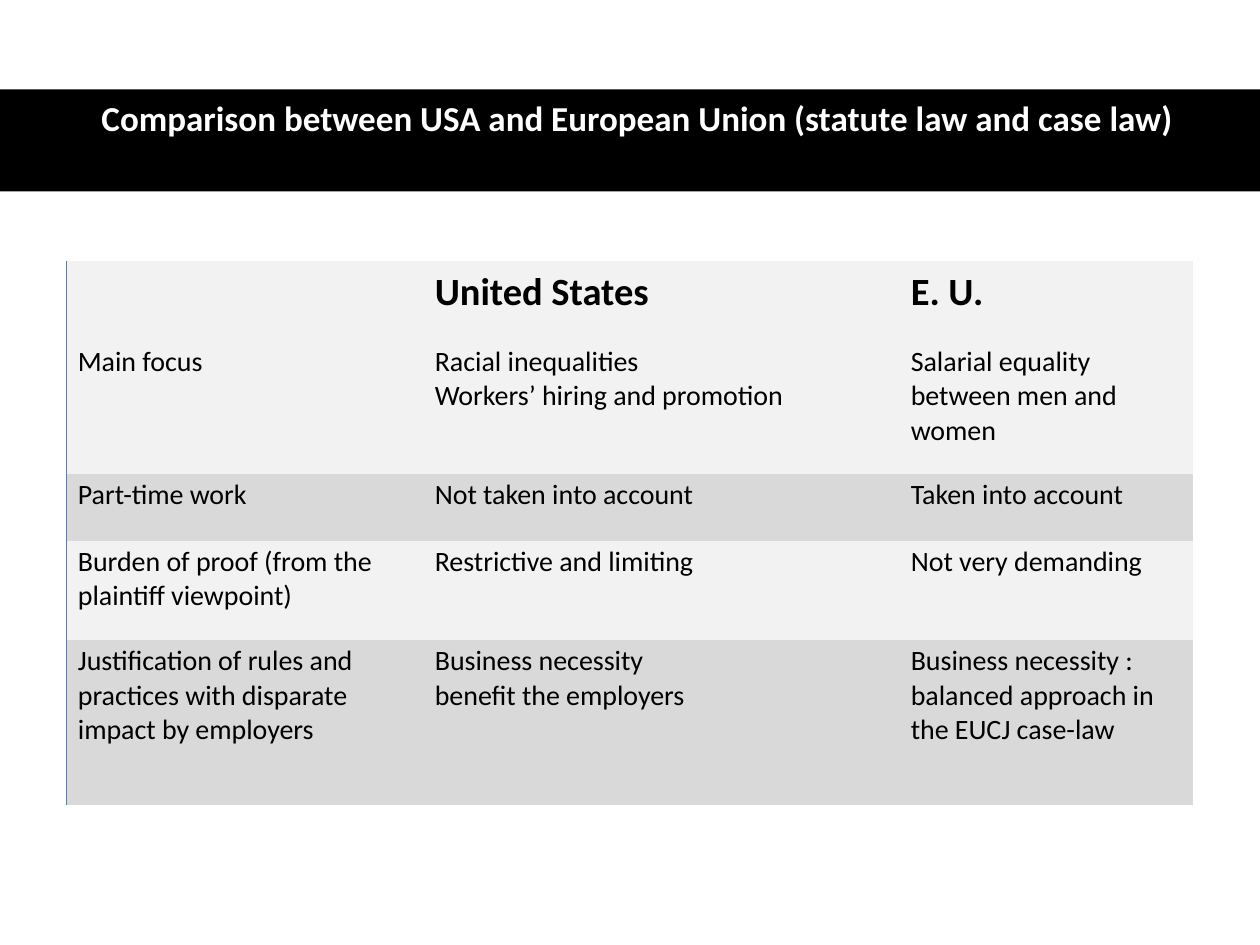
from lxml.etree import SubElement
from pptx import Presentation
from pptx.dml.color import RGBColor
from pptx.enum.shapes import MSO_SHAPE as Shape
from pptx.enum.text import MSO_ANCHOR as Anchor, PP_ALIGN as Align
from pptx.oxml.ns import qn
from pptx.util import Pt

NO_STYLE = "{2D5ABB26-0587-4C30-8999-92F81FD0307C}"


def paint(fill, color):
    fill.solid()
    fill.fore_color.rgb = RGBColor.from_string(color)


def write(frame, text, size=16, color="000000", bold=False, align=Align.LEFT,
          spacing=1.0, anchor=Anchor.TOP):
    frame.word_wrap = True
    frame.vertical_anchor = anchor
    for index, line in enumerate(text.split("\n")):
        para = frame.add_paragraph() if index else frame.paragraphs[0]
        para.alignment = align
        para.line_spacing = spacing
        span = para.add_run()
        span.text = line
        span.font.name = "Calibri"
        span.font.size = Pt(size)
        span.font.bold = bold
        paint(span.font.fill, color)


deck = Presentation()
deck.slide_width, deck.slide_height = Pt(720), Pt(540)
page = deck.slides.add_slide(deck.slide_layouts[5])

title = page.shapes.title
title.left, title.top, title.width, title.height = Pt(33), Pt(50.4), Pt(662.4), Pt(58.3)
title.text_frame.margin_top = Pt(7.2)
write(title.text_frame, "Comparison between USA and European Union (statute law and case law)",
      size=20, color="FFFFFF", bold=True, align=Align.CENTER, spacing=0.9)

banner = page.shapes.add_shape(Shape.RECTANGLE, Pt(0), Pt(51.1), Pt(720), Pt(58.3))
banner.shadow.inherit = False
paint(banner.fill, "000000")
banner.line.fill.background()
title.element.addprevious(banner.element)

rows = [
    ("", "United States", "E. U."),
    ("Main focus", "Racial inequalities\nWorkers’ hiring and promotion",
     "Salarial equality between men and women"),
    ("Part-time work", "Not taken into account", "Taken into account"),
    ("Burden of proof (from the plaintiff viewpoint)", "Restrictive and limiting",
     "Not very demanding"),
    ("Justification of rules and practices with disparate impact by employers",
     "Business necessity\nbenefit the employers",
     "Business necessity : balanced approach in the EUCJ case-law"),
]
widths = [204, 272, 168]
heights = [46, 76, 38, 57, 94]
fills = ["F2F2F2", "F2F2F2", "D9D9D9", "F2F2F2", "D9D9D9"]

holder = page.shapes.add_table(len(rows), len(widths), Pt(38), Pt(149),
                               Pt(sum(widths)), Pt(sum(heights)))
table = holder.table
table.first_row = table.horz_banding = False
holder.element.find(".//" + qn("a:tableStyleId")).text = NO_STYLE

for column, width in zip(table.columns, widths):
    column.width = Pt(width)

for row, height, texts, fill in zip(table.rows, heights, rows, fills):
    row.height = Pt(height)
    header = texts is rows[0]
    for cell, text in zip(row.cells, texts):
        cell.margin_left, cell.margin_top = Pt(6.5), Pt(2.2)
        cell.margin_right, cell.margin_bottom = Pt(13), Pt(14.4)
        if text:
            write(cell.text_frame, text, size=22 if header else 16, bold=header)
        cell.vertical_anchor = Anchor.BOTTOM if header else Anchor.TOP
        paint(cell.fill, fill)
    edge = SubElement(row.cells[0]._tc.tcPr, qn("a:lnL"), w=str(Pt(1)))
    ink = SubElement(edge, qn("a:solidFill"))
    SubElement(ink, qn("a:srgbClr"), val="4F81BD")
    row.cells[0]._tc.tcPr.insert(0, edge)

deck.save("out.pptx")
